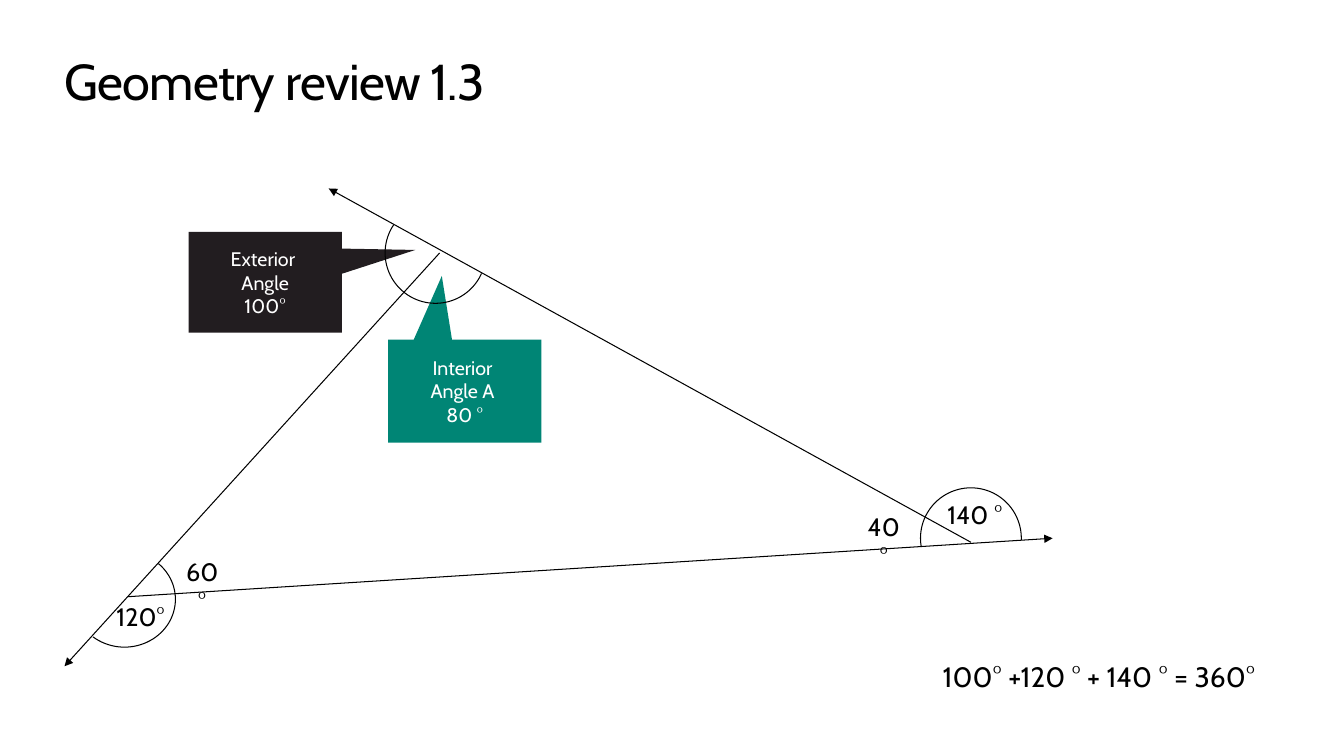
import pptx
import pptx.util
import pptx.dml.color
import pptx.enum.shapes
import pptx.enum.text
import pptx.oxml.ns
import lxml.etree

Inches = pptx.util.Inches
Pt = pptx.util.Pt
RGBColor = pptx.dml.color.RGBColor
Shape = pptx.enum.shapes.MSO_SHAPE
Align = pptx.enum.text.PP_ALIGN

BLACK = RGBColor(0x00, 0x00, 0x00)
WHITE = RGBColor(0xFF, 0xFF, 0xFF)
DARK = RGBColor(0x22, 0x1D, 0x20)
GREEN = RGBColor(0x00, 0x85, 0x75)
FONT = "Cabin"


def add_run(para, text, size, color):
    run = para.add_run()
    run.text = text
    run.font.name = FONT
    run.font.size = Pt(size)
    run.font.color.rgb = color
    return run


def add_label(slide, box, text, size, inset=True, align=Align.LEFT):
    label = slide.shapes.add_textbox(*map(Inches, box))
    frame = label.text_frame
    frame.word_wrap = True
    frame.auto_size = pptx.enum.text.MSO_AUTO_SIZE.SHAPE_TO_FIT_TEXT
    if not inset:
        frame.margin_left = frame.margin_right = 0
        frame.margin_top = frame.margin_bottom = 0
    para = frame.paragraphs[0]
    para.alignment = align
    return add_run(para, text, size, BLACK)


def add_callout(slide, box, tip, fill, lines):
    note = slide.shapes.add_shape(Shape.RECTANGULAR_CALLOUT, *map(Inches, box))
    note.shadow.inherit = False
    note.adjustments[0], note.adjustments[1] = tip
    note.fill.solid()
    note.fill.fore_color.rgb = fill
    note.line.fill.background()
    frame = note.text_frame
    frame.word_wrap = True
    frame.vertical_anchor = pptx.enum.text.MSO_ANCHOR.MIDDLE
    for row, text in enumerate(lines):
        para = frame.add_paragraph() if row else frame.paragraphs[0]
        para.alignment = Align.CENTER
        add_run(para, text, 14, WHITE)


def add_ray(slide, start, end):
    ray = slide.shapes.add_connector(
        pptx.enum.shapes.MSO_CONNECTOR.STRAIGHT, *map(Inches, start + end))
    ray.line.color.rgb = BLACK
    ray.line.width = Pt(0.75)
    qn = pptx.oxml.ns.qn
    tail = lxml.etree.SubElement(ray.line._get_or_add_ln(), qn("a:tailEnd"))
    tail.set("type", "triangle")
    lxml.etree.SubElement(ray._element.spPr, qn("a:effectLst"))


def add_arc(slide, box, angles):
    arc = slide.shapes.add_shape(Shape.ARC, *map(Inches, box))
    arc.shadow.inherit = False
    arc.fill.background()
    arc.line.color.rgb = BLACK
    arc.line.width = Pt(0.75)
    for index, angle in enumerate(angles):
        arc.adjustments[index] = angle * 0.6


def main():
    deck = pptx.Presentation()
    deck.slide_width = Inches(13.33)
    deck.slide_height = Inches(7.5)
    slide = deck.slides.add_slide(deck.slide_layouts[6])

    title = add_label(slide, (0.64, 0.5, 12.05, 0.61), "Geometry review 1.3", 36, False)
    title.font._element.set("spc", "-50")

    add_callout(slide, (1.87, 2.3, 1.52, 1), (0.98, -0.32), DARK,
                ("Exterior ", "Angle", "100°"))
    add_callout(slide, (3.85, 3.37, 1.52, 1.02), (-0.15, -1.12), GREEN,
                ("Interior ", "Angle A ", "80 °"))

    for start, end in (((9.63, 5.38), (3.26, 1.87)),
                       ((1.27, 5.92), (10.44, 5.34)),
                       ((4.36, 2.51), (0.64, 6.61))):
        add_ray(slide, start, end)

    for box, angles in (((0.73, 5.47, 1.01, 0.95), (313.54, 129.92)),
                        ((3.82, 2.01, 1, 1), (24.06, 213.69)),
                        ((9.13, 4.84, 1, 1), (170.54, 2.31))):
        add_arc(slide, box, angles)

    for left, top, width, text in ((1.04, 5.92, 0.71, "120°"),
                                   (1.68, 5.47, 0.65, "60 °"),
                                   (8.44, 5.02, 0.65, "40 °"),
                                   (9.28, 4.9, 0.78, "140 °")):
        add_label(slide, (left, top, width, 0.4), text, 18, align=Align.CENTER)

    add_label(slide, (9.35, 6.54, 3.45, 0.34), "100° +120 ° + 140 ° = 360°", 20, False)
    deck.save("out.pptx")


if __name__ == "__main__":
    main()
